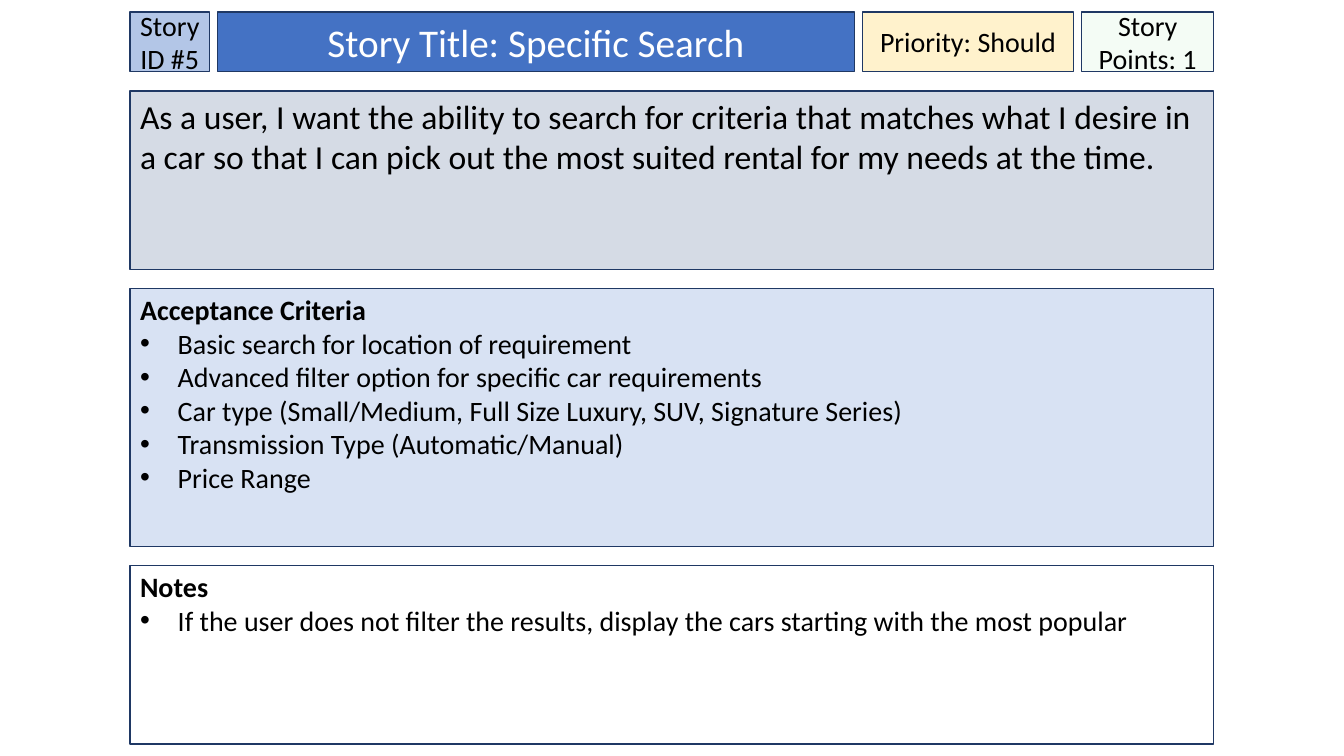
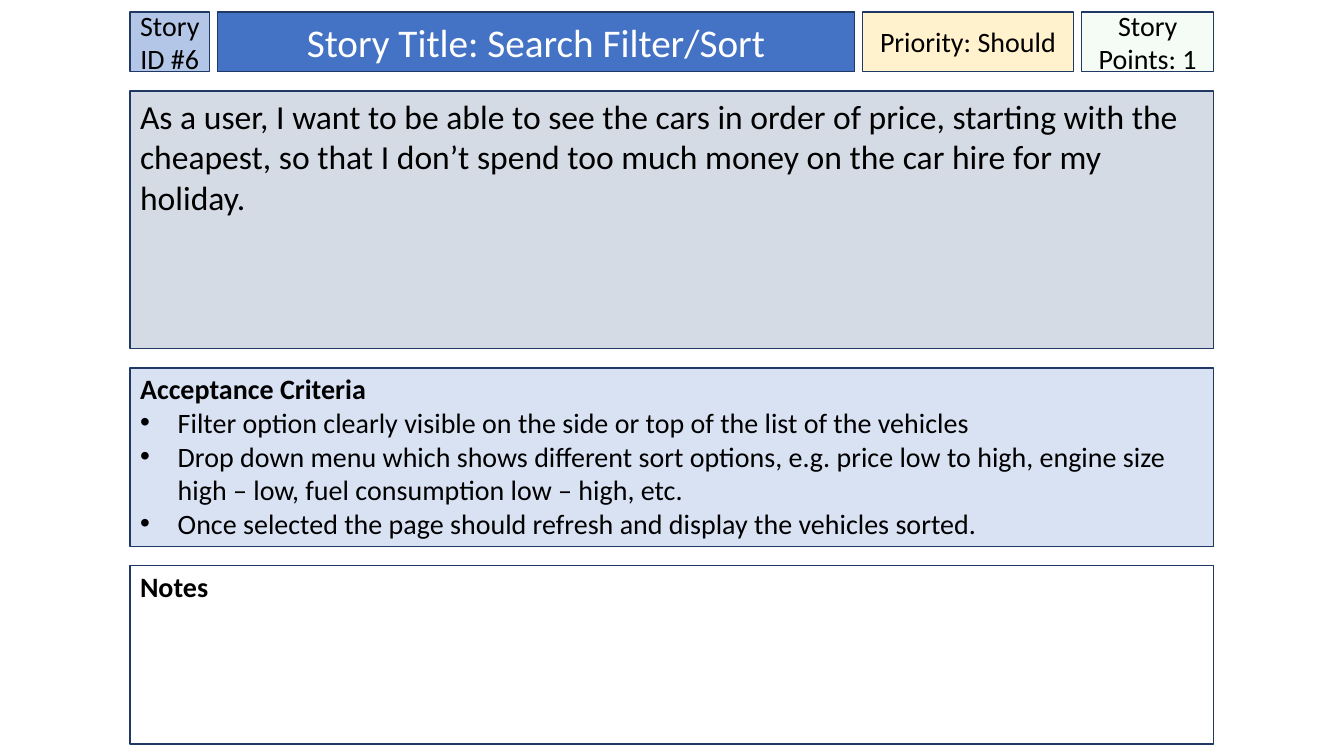
from lxml import etree
from pptx import Presentation
from pptx.dml.color import RGBColor
from pptx.enum.shapes import MSO_SHAPE
from pptx.enum.text import MSO_ANCHOR as Anchor, PP_ALIGN as Align
from pptx.oxml.ns import qn
from pptx.util import Cm, Pt

# Shared colours
BLACK, WHITE, OUTLINE = "000000", "FFFFFF", "1F3864"
ID_BLUE, TITLE_BLUE = "B3C6E7", "4472C4"
PRIORITY_YELLOW, POINTS_GREEN = "FFF2CC", "CCF0CD"
STORY_GREY, CRITERIA_BLUE = "D5DBE5", "D8E2F3"

# Shared layout, in centimetres
CARD_LEFT, CARD_WIDTH = 3.28, 27.3
HEADER_TOP, HEADER_HEIGHT, HEADER_GAP = 0.3, 1.5, 0.2
PANEL_TOP, PANEL_GAP = 2.29, 0.48
SHORT, TALL = 4.5, 6.5
BULLET_INDENT = Cm(0.95)

# Frame formats
LABEL = dict(vertical_anchor=Anchor.MIDDLE, margin_left=0, margin_right=0,
             margin_top=Cm(0.13), margin_bottom=Cm(0.13), word_wrap=True)
TITLE = LABEL | dict(margin_left=Cm(0.25), margin_right=Cm(0.25))
STORY = TITLE | dict(vertical_anchor=Anchor.TOP)
LISTING = STORY | dict(margin_top=Cm(0.1))

STORIES = [
    dict(
        number=5,
        title="Specific Search",
        story="As a user, I want the ability to search for criteria that matches what "
              "I desire in a car so that I can pick out the most suited rental for my "
              "needs at the time.",
        criteria=["Basic search for location of requirement",
                  "Advanced filter option for specific car requirements",
                  "Car type (Small/Medium, Full Size Luxury, SUV, Signature Series)",
                  "Transmission Type (Automatic/Manual)",
                  "Price Range"],
        notes=["If the user does not filter the results, display the cars starting "
               "with the most popular"],
        heights=[SHORT, TALL, SHORT],
    ),
    dict(
        number=6,
        title="Search Filter/Sort",
        story="As a user, I want to be able to see the cars in order of price, starting "
              "with the cheapest, so that I don’t spend too much money on the car hire "
              "for my holiday.",
        criteria=["Filter option clearly visible on the side or top of the list of the "
                  "vehicles",
                  "Drop down menu which shows different sort options, e.g. price low to "
                  "high, engine size high – low, fuel consumption low – high, etc.",
                  "Once selected the page should refresh and display the vehicles sorted."],
        notes=[],
        heights=[TALL, SHORT, SHORT],
    ),
]


def paint(color_format, hex_color):
    color_format.rgb = RGBColor.from_string(hex_color)


def add_box(slide, area, fill, frame_format, text, size, color=BLACK,
            align=Align.LEFT, bold=False, bullets=()):
    box = slide.shapes.add_shape(MSO_SHAPE.RECTANGLE, *[Cm(value) for value in area])
    box.shadow.inherit = False
    box.fill.solid()
    paint(box.fill.fore_color, fill)
    paint(box.line.color, OUTLINE)
    box.line.width = Pt(1)
    frame = box.text_frame
    for name, value in frame_format.items():
        setattr(frame, name, value)

    for index, line in enumerate([text, *bullets]):
        paragraph = frame.add_paragraph() if index else frame.paragraphs[0]
        paragraph.alignment = align
        if index:
            properties = paragraph._p.get_or_add_pPr()
            properties.set("marL", str(BULLET_INDENT))
            properties.set("indent", str(-BULLET_INDENT))
            bullet_color = etree.SubElement(properties, qn("a:buClr"))
            etree.SubElement(bullet_color, qn("a:srgbClr"), val=BLACK)
            etree.SubElement(properties, qn("a:buFont"), typeface="Arial")
            etree.SubElement(properties, qn("a:buChar"), char="•")
        run = paragraph.add_run()
        run.text = line
        font_format = dict(name="Calibri", size=Pt(size), bold=bold and index == 0)
        for name, value in font_format.items():
            setattr(run.font, name, value)
        paint(run.font.color, color)
    return box


deck = Presentation()
deck.slide_width, deck.slide_height = Cm(33.87), Cm(19.05)

for card in STORIES:
    slide = deck.slides.add_slide(deck.slide_layouts[6])

    # Header row: ID, title, priority, points
    header = [
        (2.0, ID_BLUE, LABEL, f"Story ID #{card['number']}", 20, BLACK),
        (16.05, TITLE_BLUE, TITLE, f"Story Title: {card['title']}", 28, WHITE),
        (5.33, PRIORITY_YELLOW, LABEL, "Priority: Should", 20, BLACK),
        (3.33, POINTS_GREEN, LABEL, "Story Points: 1", 20, BLACK),
    ]
    left = CARD_LEFT
    for width, fill, frame_format, text, size, color in header:
        cell = add_box(slide, (left, HEADER_TOP, width, HEADER_HEIGHT), fill,
                       frame_format, text, size, color, Align.CENTER)
        left += width + HEADER_GAP

    # The points cell, last in the row, is mostly transparent
    points_color = cell.fill._xPr.find(qn("a:solidFill")).find(qn("a:srgbClr"))
    etree.SubElement(points_color, qn("a:alpha"), val="20000")

    # Stacked panels: story, acceptance criteria, notes
    panels = [
        (STORY_GREY, STORY, card["story"], 24, False, []),
        (CRITERIA_BLUE, LISTING, "Acceptance Criteria", 20, True, card["criteria"]),
        (WHITE, LISTING, "Notes", 20, True, card["notes"]),
    ]
    top = PANEL_TOP
    for height, panel in zip(card["heights"], panels):
        fill, frame_format, text, size, bold, bullets = panel
        add_box(slide, (CARD_LEFT, top, CARD_WIDTH, height), fill, frame_format,
                text, size, bold=bold, bullets=bullets)
        top += height + PANEL_GAP

deck.save("out.pptx")
